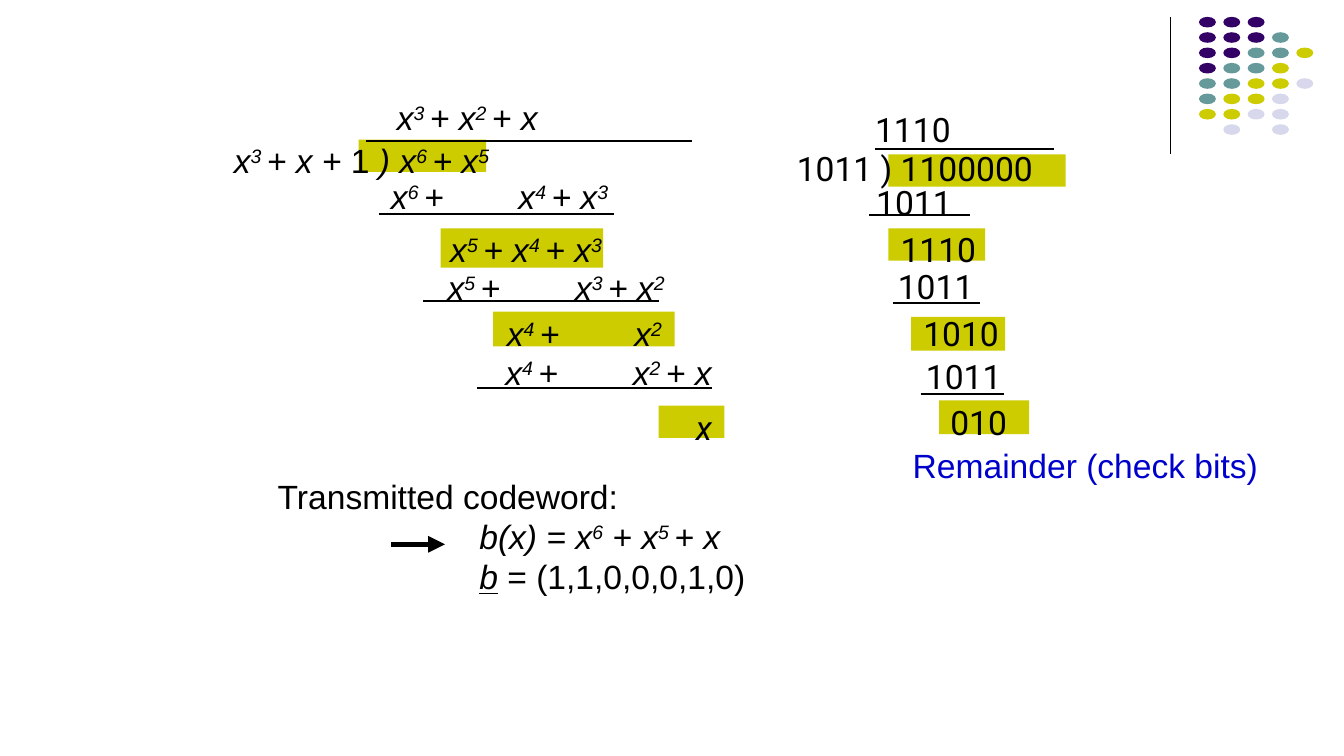
"""Build a slide showing polynomial and binary long division for a cyclic code."""
from lxml import etree
from pptx import Presentation
from pptx.dml.color import RGBColor
from pptx.enum.shapes import MSO_CONNECTOR, MSO_SHAPE
from pptx.enum.text import MSO_AUTO_SIZE, PP_ALIGN
from pptx.oxml.ns import qn
from pptx.util import Cm, Pt

STRAIGHT = MSO_CONNECTOR.STRAIGHT
RECTANGLE = MSO_SHAPE.RECTANGLE
OVAL = MSO_SHAPE.OVAL
NO_AUTOSIZE = MSO_AUTO_SIZE.NONE
LEFT = PP_ALIGN.LEFT
RIGHT = PP_ALIGN.RIGHT

COLORS = {"black": "000000", "blue": "0000CC", "P": "330066", "T": "669999", "Y": "CCCC00", "L": "D8D8EC"}

DOT_ROWS = ["PPP", "PPPT", "PPTTY", "PTTY", "TTYYL", "TYYL", "YYLL", " L L"]
DOT_LEFT, DOT_TOP = 22.66, 0.32
DOT_STEP_X, DOT_STEP_Y = 0.46, 0.29
DOT_WIDTH, DOT_HEIGHT = 0.32, 0.2

HIGHLIGHTS = [
    (16.79, 2.92, 3.35, 0.61),
    (16.79, 4.32, 1.83, 0.61),
    (17.22, 5.99, 1.78, 0.64),
    (17.75, 7.57, 1.7, 0.64),
    (6.78, 2.64, 2.41, 0.61),
    (8.33, 4.32, 3.07, 0.74),
    (9.32, 5.89, 3.43, 0.66),
    (12.45, 7.67, 1.24, 0.61),
]
RULES = [
    (16.54, 19.91, 2.82),
    (16.43, 18.34, 4.06),
    (16.87, 18.52, 5.72),
    (17.4, 18.97, 7.44),
    (6.91, 13.08, 2.67),
    (7.16, 11.61, 4.04),
    (8, 12.45, 5.69),
    (9.02, 13.46, 7.34),
]
BINARY_STEPS = [
    ("1110", 16.36, 1.96, 1.83),
    ("1011 ) 1100000", 14.88, 2.69, 5),
    ("1011", 16.38, 3.33, 1.83),
    ("1110", 16.84, 4.22, 1.83),
    ("1011", 16.79, 4.93, 1.83),
    ("1010", 17.27, 5.82, 1.83),
    ("1011", 17.32, 6.63, 1.83),
    ("010", 17.78, 7.49, 1.47),
]
POLYNOMIAL_STEPS = [
    ("*x^3 ^+ x^2 ^+ x", 7.32, 1.73, 3.05),
    ("*x^3 ^+ x + *1* ) x^6 ^+ x^5", 4.24, 2.54, 5.13),
    ("*x^6 ^+\tx^4 ^+ x^3", 7.21, 3.23, 4.47),
    ("*x^5 ^+ x^4 ^+ x^3", 8.33, 4.22, 3.25),
    ("*x^5 ^+\tx^3 ^+ x^2", 8.28, 4.95, 4.47),
    ("*x^4 ^+\tx^2", 9.4, 5.82, 3.3),
    ("*x^4 ^+\tx^2 ^+ x", 9.37, 6.55, 4.27),
]
CODEWORD = [
    ("Transmitted codeword:", 0),
    ("*b(x) = x^6^ + x^5 ^+ x", 3.81),
    ("*_b_ *= (1,1,0,0,0,1,0)", 3.81),
]
MISSING_TERM_TAB = 2.41


def color(name):
    return RGBColor.from_string(COLORS[name])


def add_runs(paragraph, text, font, fill):
    """Add marked-up text: * toggles italic, ^ superscript and _ underline."""
    active = set()
    run = None
    for character in text:
        if character in "*^_":
            active ^= {character}
            run = None
            continue
        if run is None:
            run = paragraph.add_run()
            run.font.name, run.font.size = font, Pt(18)
            run.font.color.rgb = color(fill)
            run.font.italic = "*" in active
            run.font.underline = "_" in active
            if "^" in active:
                run.font._element.set("baseline", "30000")
        run.text += character


def add_text(slide, text, left, top, width, height=0.94, font="Arial", fill="black",
             align=LEFT, wrap=False, inset=(0.18, 0.1)):
    lines = [(text, 0)] if isinstance(text, str) else text
    frame = slide.shapes.add_textbox(Cm(left), Cm(top), Cm(width), Cm(height)).text_frame
    frame.word_wrap = wrap
    frame.auto_size = NO_AUTOSIZE
    frame.margin_left = frame.margin_right = Cm(inset[0])
    frame.margin_top = frame.margin_bottom = Cm(inset[1])
    for index, (line, indent) in enumerate(lines):
        paragraph = frame.add_paragraph() if index else frame.paragraphs[0]
        paragraph.alignment = align
        properties = paragraph._p.get_or_add_pPr()
        if indent:
            properties.set("marL", str(Cm(indent)))
            properties.set("indent", "0")
        if "\t" in line:
            tabs = etree.SubElement(properties, qn("a:tabLst"))
            etree.SubElement(tabs, qn("a:tab"), pos=str(Cm(MISSING_TERM_TAB)), algn="l")
        add_runs(paragraph, line, font, fill)


def add_filled(shapes, kind, left, top, width, height, fill):
    shape = shapes.add_shape(kind, Cm(left), Cm(top), Cm(width), Cm(height))
    shape.shadow.inherit = False
    shape.fill.solid()
    shape.fill.fore_color.rgb = color(fill)
    shape.line.fill.background()


def add_line(slide, x1, y1, x2, y2, weight=1, arrow=False):
    line = slide.shapes.add_connector(STRAIGHT, Cm(x1), Cm(y1), Cm(x2), Cm(y2))
    line.line.color.rgb = color("black")
    line.line.width = Pt(weight)
    if arrow:
        etree.SubElement(line.line._get_or_add_ln(), qn("a:tailEnd"), type="triangle")
    etree.SubElement(line._element.spPr, qn("a:effectLst"))


def main():
    presentation = Presentation()
    presentation.slide_width, presentation.slide_height = Cm(25.4), Cm(14.29)
    slide = presentation.slides.add_slide(presentation.slide_layouts[6])

    add_line(slide, 22.12, 0.33, 22.12, 2.92, weight=0.75)
    dots = slide.shapes.add_group_shape().shapes
    for row, names in enumerate(DOT_ROWS):
        for column, name in enumerate(names):
            if name != " ":
                add_filled(dots, OVAL, DOT_LEFT + column * DOT_STEP_X, DOT_TOP + row * DOT_STEP_Y,
                           DOT_WIDTH, DOT_HEIGHT, name)

    add_text(slide, CODEWORD, 5, 8.86, 13.13, height=2.54, wrap=True, inset=(0.25, 0.13))
    add_line(slide, 7.39, 10.29, 8.41, 10.29, weight=3, arrow=True)
    for box in HIGHLIGHTS:
        add_filled(slide.shapes, RECTANGLE, *box, "Y")
    for start, end, y in RULES:
        add_line(slide, start, y, end, y)
    for step in BINARY_STEPS:
        add_text(slide, *step, font="Roboto")
    for step in POLYNOMIAL_STEPS:
        add_text(slide, *step)
    add_text(slide, "*x", 11.33, 7.59, 2.31, font="Roboto", align=RIGHT, wrap=True)
    add_text(slide, "Remainder (check bits)", 17.07, 8.31, 6.91, fill="blue")
    presentation.save("out.pptx")


if __name__ == "__main__":
    main()
